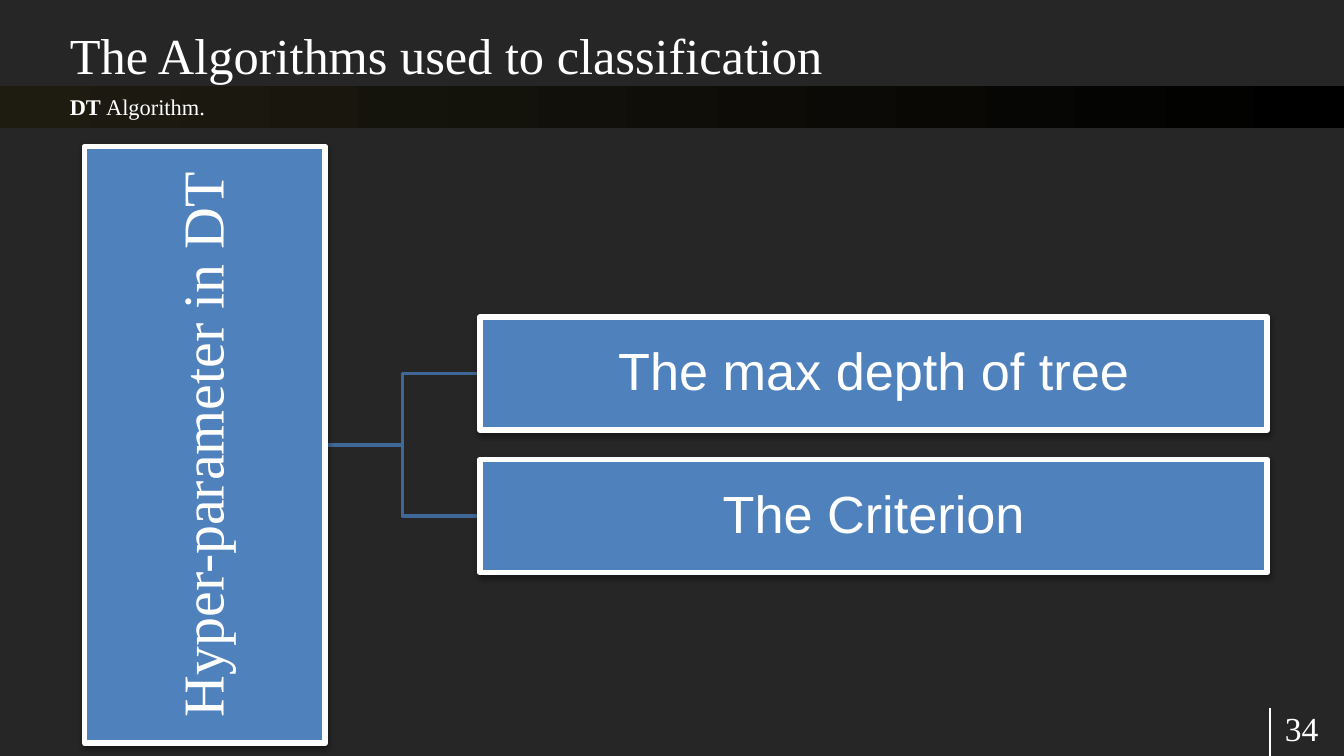
from dataclasses import dataclass

import lxml.etree
import pptx
import pptx.dml.color
import pptx.enum.shapes
import pptx.enum.text
import pptx.oxml.ns
import pptx.util

Inches = pptx.util.Inches
Pt = pptx.util.Pt
Anchor = pptx.enum.text.MSO_ANCHOR
Align = pptx.enum.text.PP_ALIGN
RECTANGLE = pptx.enum.shapes.MSO_SHAPE.RECTANGLE

PAGE_WIDTH = 10
PAGE_HEIGHT = PAGE_WIDTH * 9 / 16
COLORS = {
    "background": "262626",
    "band_start": "1E1C11",
    "band_end": "000000",
    "box": "4F81BD",
    "branch": "3F6797",
    "white": "FFFFFF",
    "shadow": "000000",
}
SERIF = "Times New Roman"
SANS = "Arial"


@dataclass
class Node:
    text: str
    center_x: float
    center_y: float
    width: float
    height: float
    size: float
    font: str
    rotation: float = 0


def color(name: str) -> pptx.dml.color.RGBColor:
    return pptx.dml.color.RGBColor.from_string(COLORS[name])


def write_text(shape, text, *, size, font=SERIF, bold_lead="", anchor=Anchor.TOP,
               align=Align.LEFT, margins=(0.09, 0.04), line_spacing=None) -> None:
    frame = shape.text_frame
    frame.word_wrap = True
    frame.vertical_anchor = anchor
    frame.margin_left = frame.margin_right = Inches(margins[0])
    frame.margin_top = frame.margin_bottom = Inches(margins[1])
    para = frame.paragraphs[0]
    para.alignment = align
    para.line_spacing = line_spacing
    for words, bold in ((bold_lead, True), (text, False)):
        if words:
            span = para.add_run()
            span.text = words
            span.font.name = font
            span.font.size = Pt(size)
            span.font.bold = bold
            span.font.color.rgb = color("white")


def add_text(page, left: float, top: float, width: float, height: float,
             text: str, **text_format) -> None:
    box = page.shapes.add_textbox(Inches(left), Inches(top), Inches(width), Inches(height))
    write_text(box, text, **text_format)


def add_shadow(shape) -> None:
    """Soft shadow straight below the shape."""
    qn = pptx.oxml.ns.qn
    shape.shadow.inherit = False
    effects = shape._element.spPr.find(qn("a:effectLst"))
    shadow = lxml.etree.SubElement(
        effects, qn("a:outerShdw"), blurRad=str(Pt(3.1)), dist=str(Pt(1.6)),
        dir="5400000", rotWithShape="0")
    tint = lxml.etree.SubElement(shadow, qn("a:srgbClr"), val=COLORS["shadow"])
    lxml.etree.SubElement(tint, qn("a:alpha"), val="38000")


def add_node(page, node: Node) -> None:
    box = page.shapes.add_shape(
        RECTANGLE,
        Inches(node.center_x - node.width / 2), Inches(node.center_y - node.height / 2),
        Inches(node.width), Inches(node.height))
    box.rotation = node.rotation
    box.fill.solid()
    box.fill.fore_color.rgb = color("box")
    box.line.color.rgb = color("white")
    box.line.width = Pt(3)
    add_shadow(box)
    write_text(box, node.text, size=node.size, font=node.font, anchor=Anchor.MIDDLE,
               align=Align.CENTER, margins=(0.02, 0.02), line_spacing=0.9)


def add_branch(page, start_x: float, start_y: float, end_x: float, end_y: float) -> None:
    middle_x = (start_x + end_x) / 2
    corners = [(middle_x, start_y), (middle_x, end_y), (end_x, end_y)]
    builder = page.shapes.build_freeform(Inches(start_x), Inches(start_y))
    builder.add_line_segments([(Inches(x), Inches(y)) for x, y in corners], close=False)
    branch = builder.convert_to_shape()
    branch.fill.background()
    branch.line.color.rgb = color("branch")
    branch.line.width = Pt(2)
    branch.shadow.inherit = False


def add_band(page) -> None:
    band = page.shapes.add_shape(
        RECTANGLE, 0, Inches(0.64), Inches(PAGE_WIDTH), Inches(0.31))
    band.fill.gradient()
    band.fill.gradient_angle = 0
    for stop, name in zip(band.fill.gradient_stops, ("band_start", "band_end")):
        stop.color.rgb = color(name)
    band.line.fill.background()
    band.shadow.inherit = False


def add_number_rule(page) -> None:
    rule = page.shapes.add_connector(
        pptx.enum.shapes.MSO_CONNECTOR.STRAIGHT,
        Inches(9.45), Inches(5.27), Inches(9.45), Inches(PAGE_HEIGHT))
    rule.line.color.rgb = color("white")
    rule.line.width = Pt(0.75)
    lxml.etree.SubElement(rule._element.spPr, pptx.oxml.ns.qn("a:effectLst"))


def main() -> None:
    deck = pptx.Presentation()
    deck.slide_width = Inches(PAGE_WIDTH)
    deck.slide_height = Inches(PAGE_HEIGHT)
    page = deck.slides.add_slide(deck.slide_layouts[6])
    page.background.fill.solid()
    page.background.fill.fore_color.rgb = color("background")

    # Header and slide number
    add_band(page)
    add_number_rule(page)
    add_text(page, 0.43, 0, 9, 0.67, "The Algorithms used to classification",
             size=27, anchor=Anchor.BOTTOM)
    add_text(page, 9.47, 5.27, 0.57, 0.3, "34", size=18, anchor=Anchor.MIDDLE)
    add_text(page, 0.43, 0.65, 8.9, 0.31, "Algorithm.", bold_lead="DT ", size=12)

    # Hierarchy: a sideways root with its children spread evenly about its centre
    root_left, root_thickness = 0.63, 1.79
    root = Node("Hyper-parameter in DT", root_left + root_thickness / 2, 3.31,
                4.44, root_thickness, 31, SERIF, rotation=270)
    child_texts = ["The max depth of tree", "The Criterion"]
    pitch = 1.06
    first_y = root.center_y - pitch * (len(child_texts) - 1) / 2
    children = [Node(text, 6.5, first_y + pitch * row, 5.86, 0.84, 28, SANS)
                for row, text in enumerate(child_texts)]

    for child in reversed(children):
        add_branch(page, root_left + root_thickness, root.center_y,
                   child.center_x - child.width / 2, child.center_y)
    for node in [root, *children]:
        add_node(page, node)

    deck.save("out.pptx")


if __name__ == "__main__":
    main()
